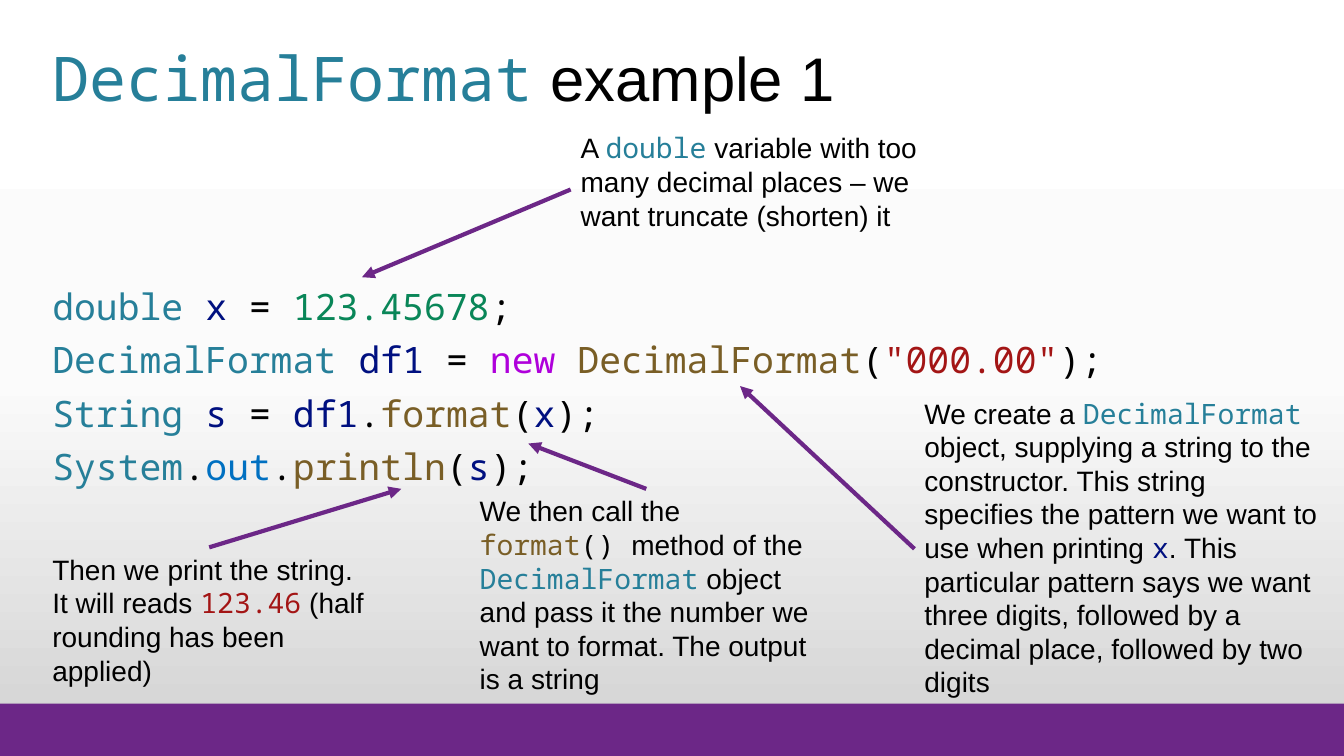
from copy import deepcopy
from dataclasses import dataclass

from lxml import etree
from pptx import Presentation
from pptx.dml.color import RGBColor
from pptx.enum.shapes import MSO_CONNECTOR, MSO_SHAPE
from pptx.enum.text import MSO_ANCHOR, MSO_AUTO_SIZE
from pptx.oxml.ns import qn
from pptx.util import Inches, Pt

STRAIGHT = MSO_CONNECTOR.STRAIGHT
RECTANGLE = MSO_SHAPE.RECTANGLE
TOP, BOTTOM = MSO_ANCHOR.TOP, MSO_ANCHOR.BOTTOM
FIT_SHAPE, FIT_NONE = MSO_AUTO_SIZE.SHAPE_TO_FIT_TEXT, MSO_AUTO_SIZE.NONE
SIDE_TOP, SIDE_LEFT = 0, 1


@dataclass(frozen=True)
class Theme:
    """Colours, fonts and type sizes of the slide."""

    prose_font: str = "Arial"
    code_font: str = "Noto Sans Mono"
    title_size: int = 44
    code_size: int = 26
    callout_size: int = 20
    accent: str = "6C2787"
    prose: str = "000000"
    plain: str = "000000"
    type_name: str = "267F99"
    variable: str = "001080"
    number: str = "098658"
    keyword: str = "AF00DB"
    method: str = "795E26"
    string: str = "A31515"
    field: str = "0070C1"
    background: tuple = ((0, "FFFFFF"), (0.5, "FBFBFB"), (1, "D1D1D1"))


class SlideBuilder:
    """Draws styled elements on one slide."""

    def __init__(self, page, theme):
        """Keep the slide and its style."""
        self.page = page
        self.theme = theme

    def background(self):
        """Fill the page with a gradient running downwards."""
        fill = self.page.background.fill
        fill.gradient()
        fill.gradient_angle = 270
        stops = self.page.element.find(".//" + qn("a:gsLst"))
        stops.append(deepcopy(stops[-1]))
        for stop, (position, colour) in zip(fill.gradient_stops, self.theme.background):
            stop.position = position
            stop.color.rgb = RGBColor.from_string(colour)

    def band(self, left, top, width, height):
        """Draw a plain accent rectangle."""
        band = self.page.shapes.add_shape(
            RECTANGLE, Inches(left), Inches(top), Inches(width), Inches(height))
        band.shadow.inherit = False
        band.fill.solid()
        band.fill.fore_color.rgb = RGBColor.from_string(self.theme.accent)
        band.line.fill.background()

    def text(self, place, paragraphs, size, anchor=TOP, fit=FIT_NONE, spacing=1.0, before=0):
        """Write paragraphs of (role, words) spans in a wrapping box."""
        box = self.page.shapes.add_textbox(*(Inches(length) for length in place))
        frame = box.text_frame
        frame.word_wrap = True
        frame.auto_size = fit
        frame.vertical_anchor = anchor
        for index, spans in enumerate(paragraphs):
            para = frame.add_paragraph() if index else frame.paragraphs[0]
            para.line_spacing = spacing
            para.space_before = Pt(before if index else 0)
            for role, words in spans:
                span = para.add_run()
                span.text = words
                font = span.font
                font.size = Pt(size)
                font.name = self.theme.prose_font if role == "prose" else self.theme.code_font
                font.color.rgb = RGBColor.from_string(getattr(self.theme, role))
        return box

    def callout(self, place, spans):
        """Write one explanatory note."""
        return self.text(place, [spans], self.theme.callout_size, fit=FIT_SHAPE)

    def arrow(self, start, end, box=None, side=None):
        """Draw an arrow, joined to a side of a box when one is given."""
        arrow = self.page.shapes.add_connector(
            STRAIGHT, *(Inches(length) for length in start + end))
        if box is not None:
            arrow.begin_connect(box, side)
        arrow.line.color.rgb = RGBColor.from_string(self.theme.accent)
        arrow.line.width = Pt(3)
        etree.SubElement(arrow.line._get_or_add_ln(), qn("a:tailEnd"), type="triangle")
        etree.SubElement(arrow.element.spPr, qn("a:effectLst"))


TITLE = [("type_name", "DecimalFormat"), ("prose", " example 1")]
CODE = [
    [("type_name", "double "), ("variable", "x"), ("plain", " = "),
     ("number", "123.45678"), ("plain", ";")],
    [("type_name", "DecimalFormat "), ("variable", "df1"), ("plain", " = "),
     ("keyword", "new "), ("method", "DecimalFormat"), ("plain", "("),
     ("string", '"000.00"'), ("plain", ");")],
    [("type_name", "String "), ("variable", "s"), ("plain", " = "),
     ("variable", "df1"), ("plain", "."), ("method", "format"), ("plain", "("),
     ("variable", "x"), ("plain", ");")],
    [("type_name", "System"), ("plain", "."), ("field", "out"), ("plain", "."),
     ("method", "println"), ("plain", "("), ("variable", "s"), ("plain", ");")],
]
VARIABLE_NOTE = [
    ("prose", "A "), ("type_name", "double"),
    ("prose", " variable with too many decimal places – we want truncate (shorten) it")]
PATTERN_NOTE = [
    ("prose", "We create a "), ("type_name", "DecimalFormat"),
    ("prose", " object, supplying a string to the constructor. This string specifies "
              "the pattern we want to use when printing "),
    ("variable", "x"),
    ("prose", ". This particular pattern says we want three digits, followed by a "
              "decimal place, followed by two digits")]
FORMAT_NOTE = [
    ("prose", "We then call the "), ("method", "format"), ("plain", "() "),
    ("prose", "method of the "), ("type_name", "DecimalFormat"),
    ("prose", " object and pass it the number we want to format. The output is a string")]
PRINT_NOTE = [
    ("prose", "Then we print the string. It will reads "), ("string", "123.46"),
    ("prose", " (half rounding has been applied)")]


def main():
    """Build and save the slide."""
    deck = Presentation()
    deck.slide_width, deck.slide_height = Inches(13.33), Inches(7.5)
    theme = Theme()
    builder = SlideBuilder(deck.slides.add_slide(deck.slide_layouts[6]), theme)
    builder.background()
    builder.band(0, 6.98, 13.33, 0.52)
    builder.text((0.42, 0.32, 10.25, 0.87), [TITLE], theme.title_size,
                 anchor=BOTTOM, spacing=0.9)
    builder.text((0.42, 2.82, 12.55, 2.1), CODE, theme.code_size, spacing=0.9, before=10)
    builder.callout((5.66, 1.25, 4.09, 1.11), VARIABLE_NOTE)
    builder.arrow((5.66, 1.88), (3.59, 2.75))
    joined_notes = [
        ((9.07, 3.88, 4.13, 3.13), PATTERN_NOTE, (9.07, 5.43), (7.34, 3.83), SIDE_LEFT),
        ((4.66, 4.85, 3.5, 2.12), FORMAT_NOTE, (6.41, 4.85), (5.24, 4.4), SIDE_TOP),
        ((0.42, 5.43, 3.31, 1.45), PRINT_NOTE, (2.08, 5.43), (3.98, 4.85), SIDE_TOP),
    ]
    for place, spans, start, end, side in joined_notes:
        note = builder.callout(place, spans)
        builder.arrow(start, end, note, side)
    deck.save("out.pptx")


if __name__ == "__main__":
    main()
